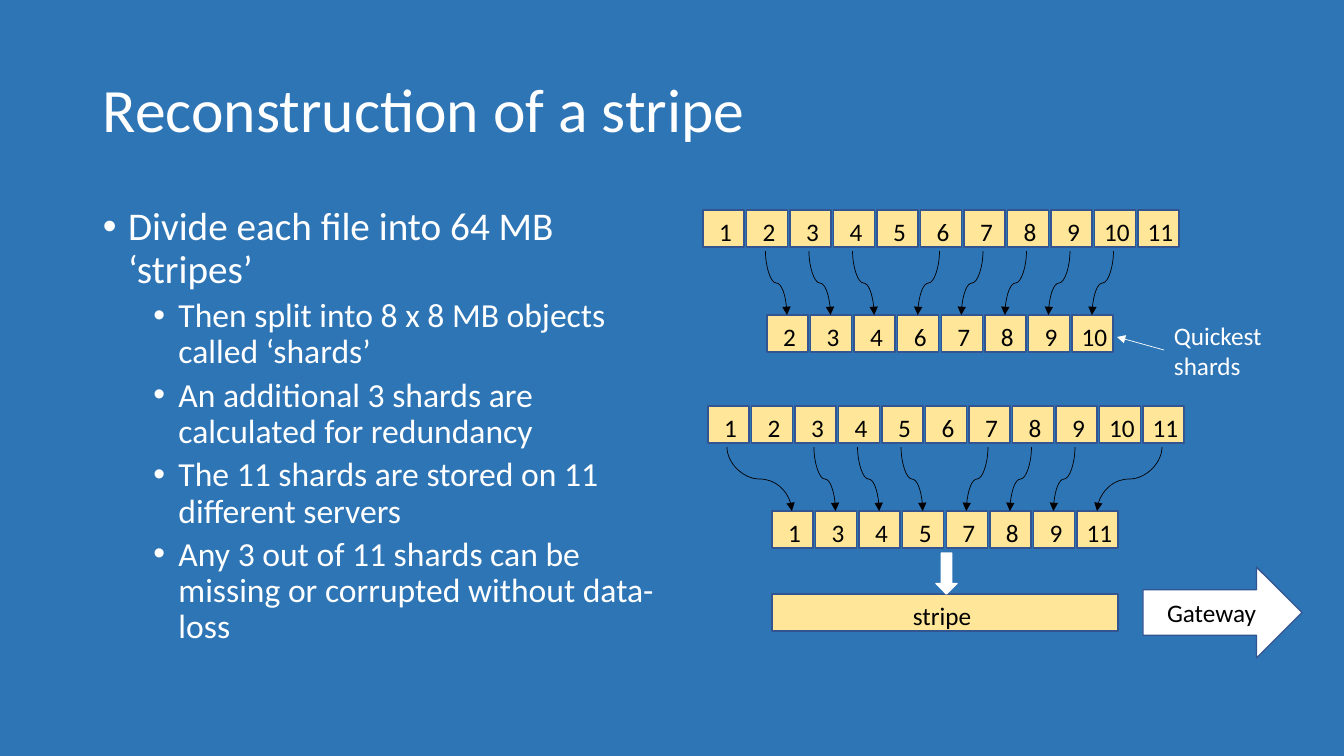
from pptx import Presentation
from pptx.dml.color import RGBColor
from pptx.enum.shapes import MSO_CONNECTOR as CONN, MSO_SHAPE as SHAPE
from pptx.enum.text import MSO_ANCHOR as ANCHOR, PP_ALIGN as ALIGN
from pptx.oxml.ns import qn
from pptx.util import Pt
from lxml.etree import SubElement

PX = 914400 / 100.8
BLUE, CREAM, EDGE, WHITE, BLACK = "2E75B6", "FFE699", "325491", "FFFFFF", "000000"
CELL_W, CELL_H = 41, 37
ROW_W, KEPT_W = 476, 346
KEPT_DX, KEPT_DY = 64, 105
SHARDS = range(1, 12)

BULLETS = [
    (0, "Divide each file into 64 MB ‘stripes’"),
    (1, "Then split into 8 x 8 MB objects called ‘shards’"),
    (1, "An additional 3 shards are calculated for redundancy"),
    (1, "The 11 shards are stored on 11 different servers"),
    (1, "Any 3 out of 11 shards can be missing or corrupted without data-loss"),
]


def px(n):
    return round(n * PX)


def rgb(color):
    return RGBColor.from_string(color)


def set_all(obj, values):
    for name, value in values.items():
        setattr(obj, name, value)


def write(p, text, size, color):
    r = p.add_run()
    r.text = text
    set_all(r.font, {"name": "Calibri", "size": Pt(size)})
    r.font.color.rgb = rgb(color)


def add_text(s, box, text, size, color, anchor=ANCHOR.TOP):
    tf = s.shapes.add_textbox(*map(px, box)).text_frame
    set_all(tf, {"word_wrap": True, "vertical_anchor": anchor})
    p = tf.paragraphs[0]
    write(p, text, size, color)
    return p


def add_block(s, kind, box, fill, line, text="", align=ALIGN.CENTER, margins=(0, 0, 0, 0)):
    """Add a preset shape; margins are left, top, right, bottom."""
    sp = s.shapes.add_shape(kind, *map(px, box))
    sp.shadow.inherit = False
    sp.fill.solid()
    sp.fill.fore_color.rgb = rgb(fill)
    sp.line.color.rgb = rgb(line)
    sp.line.width = Pt(1)
    if text:
        tf = sp.text_frame
        sides = ("margin_left", "margin_top", "margin_right", "margin_bottom")
        set_all(tf, dict(zip(sides, map(px, margins))))
        set_all(tf, {"word_wrap": False, "vertical_anchor": ANCHOR.MIDDLE})
        p = tf.paragraphs[0]
        p.alignment = align
        write(p, text, 18, BLACK)


def add_arrow(s, kind, x1, y1, x2, y2, color):
    c = s.shapes.add_connector(kind, px(x1), px(y1), px(x2), px(y2))
    c.line.color.rgb = rgb(color)
    c.line.width = Pt(0.5)
    SubElement(c.line._get_or_add_ln(), qn("a:tailEnd"), type="triangle")
    SubElement(c.element.spPr, qn("a:effectLst"))
    return c


def add_drop_arrow(s, x1, y1, x2, y2):
    """Add an S-curve that leaves and arrives vertically: a turned connector."""
    mx, my = (x1 + x2) / 2, (y1 + y2) / 2
    half_w, half_h = (y2 - y1) / 2, abs(x2 - x1) / 2
    side = 1 if x2 > x1 else -1
    c = add_arrow(s, CONN.CURVE, mx + side * half_w, my - half_h,
                  mx - side * half_w, my + half_h, BLACK)
    c.rotation = 270 if side > 0 else 90


def add_row(s, left, top, width, numbers):
    """Spread numbered cells over the width; return the left edge of each."""
    pitch = (width - CELL_W) / (len(numbers) - 1)
    lefts = {n: left + i * pitch for i, n in enumerate(numbers)}
    for n, x in lefts.items():
        add_block(s, SHAPE.RECTANGLE, (x, top, CELL_W, CELL_H), CREAM, EDGE,
                  str(n), margins=(4, 5, 0, 0))
    return lefts


def add_selection(s, left, top, kept):
    """Draw all shards, the kept shards below them, and the arrows between."""
    sources = add_row(s, left, top, ROW_W, SHARDS)
    targets = add_row(s, left + KEPT_DX, top + KEPT_DY, KEPT_W, kept)
    for n in kept:
        add_drop_arrow(s, sources[n] + 19, top + 41, targets[n] + 20, top + KEPT_DY)


def add_bullets(s, box):
    tf = s.shapes.add_textbox(*map(px, box)).text_frame
    tf.word_wrap = True
    for i, (level, text) in enumerate(BULLETS):
        p = tf.add_paragraph() if i else tf.paragraphs[0]
        pPr = p._p.get_or_add_pPr()
        pPr.set("marL", str(228600 + 457200 * level))
        pPr.set("indent", "-228600")
        SubElement(pPr, qn("a:buFont"), typeface="Arial")
        SubElement(pPr, qn("a:buChar"), char="•")
        set_all(p, {"level": level, "line_spacing": 0.9, "space_before": Pt(5 if i else 0)})
        write(p, text, 24 if level else 28, WHITE)


def add_output(s, left, top):
    """Draw the rebuilt stripe and the gateway arrow beside it."""
    add_block(s, SHAPE.RECTANGLE, (left, top, KEPT_W, CELL_H), CREAM, EDGE,
              "stripe", margins=(0, 5, 6, 0))
    add_block(s, SHAPE.DOWN_ARROW, (left + 164, top - 41, 21, 41), WHITE, WHITE)
    add_block(s, SHAPE.RIGHT_ARROW, (left + 371, top - 27, 159, 91), WHITE, EDGE,
              "Gateway", ALIGN.LEFT, (24, 0, 0, 0))


def add_quickest_note(s, left, top):
    add_text(s, (left, top, 136, 72), "Quickest shards", 18, WHITE)
    add_arrow(s, CONN.STRAIGHT, left, top + 35, left - 47, top + 22, WHITE)


def stripe_slide(prs):
    s = prs.slides.add_slide(prs.slide_layouts[6])
    s.background.fill.solid()
    s.background.fill.fore_color.rgb = rgb(BLUE)
    title = add_text(s, (93, 40, 1159, 146), "Reconstruction of a stripe", 44, WHITE, ANCHOR.MIDDLE)
    title.line_spacing = 0.9
    add_bullets(s, (93, 202, 571, 480))
    add_selection(s, 703, 210, (2, 3, 4, 6, 7, 8, 9, 10))
    add_selection(s, 708, 406, (1, 3, 4, 5, 7, 8, 9, 11))
    add_quickest_note(s, 1164, 315)
    add_output(s, 772, 594)


def main():
    prs = Presentation()
    set_all(prs, {"slide_width": px(1344), "slide_height": px(756)})
    stripe_slide(prs)
    prs.save("out.pptx")


if __name__ == "__main__":
    main()
